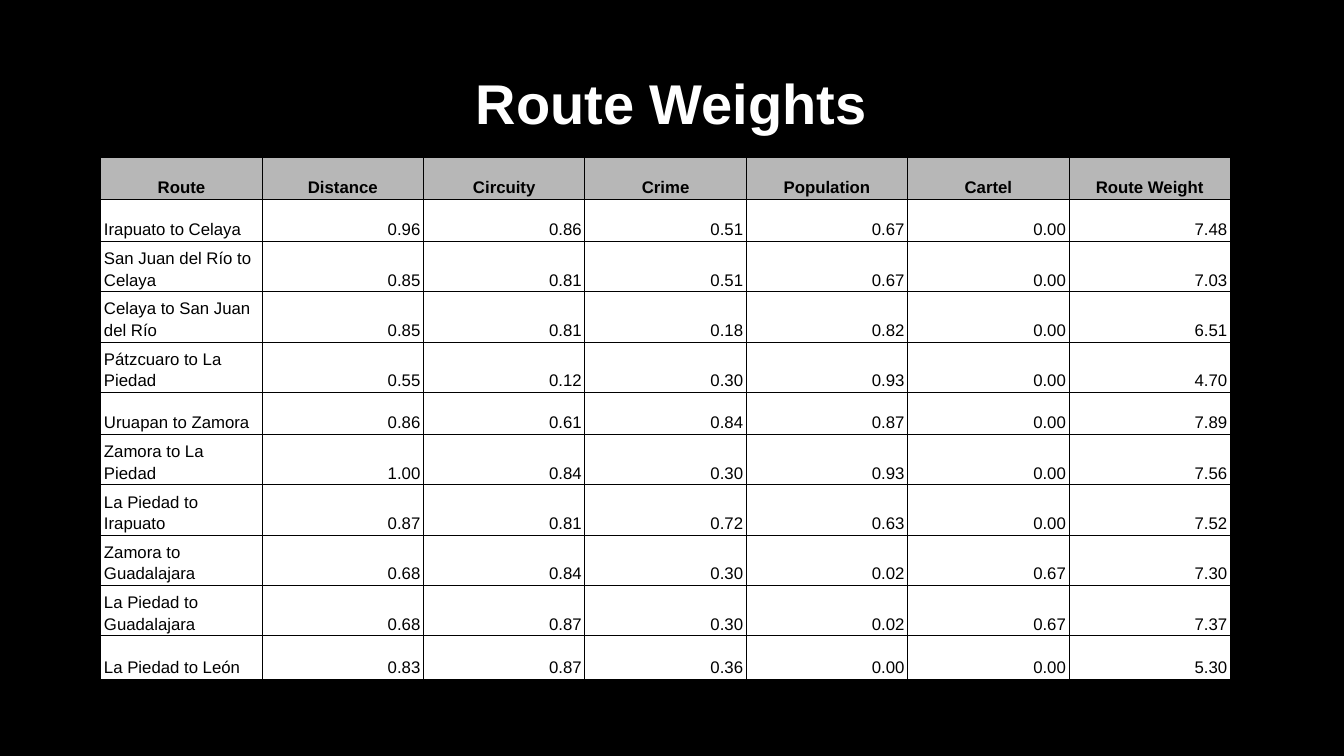
import dataclasses
import typing

import lxml.etree
import pptx
import pptx.dml.color
import pptx.enum.text
import pptx.oxml.ns
import pptx.util

Cm = pptx.util.Cm
Pt = pptx.util.Pt
Align = pptx.enum.text.PP_ALIGN
Anchor = pptx.enum.text.MSO_ANCHOR

BLACK = "000000"
WHITE = "FFFFFF"
GREY = "B7B7B7"


@dataclasses.dataclass(frozen=True)
class Style:
    size: float
    color: str
    bold: bool
    align: Align
    space: float


@dataclasses.dataclass(frozen=True)
class Route:
    name: str
    weights: tuple[str, ...]


TITLE = Style(40, WHITE, True, Align.CENTER, 0.9)
HEAD = Style(12, BLACK, True, Align.CENTER, 1.15)
NAME = Style(12, BLACK, False, Align.LEFT, 1.15)
VALUE = Style(12, BLACK, False, Align.RIGHT, 1.15)

HEADS = ("Route", "Distance", "Circuity", "Crime", "Population", "Cartel", "Route Weight")
ROUTES = (
    Route("Irapuato to Celaya", ("0.96", "0.86", "0.51", "0.67", "0.00", "7.48")),
    Route("San Juan del Río to Celaya", ("0.85", "0.81", "0.51", "0.67", "0.00", "7.03")),
    Route("Celaya to San Juan del Río", ("0.85", "0.81", "0.18", "0.82", "0.00", "6.51")),
    Route("Pátzcuaro to La Piedad", ("0.55", "0.12", "0.30", "0.93", "0.00", "4.70")),
    Route("Uruapan to Zamora", ("0.86", "0.61", "0.84", "0.87", "0.00", "7.89")),
    Route("Zamora to La Piedad", ("1.00", "0.84", "0.30", "0.93", "0.00", "7.56")),
    Route("La Piedad to Irapuato", ("0.87", "0.81", "0.72", "0.63", "0.00", "7.52")),
    Route("Zamora to Guadalajara", ("0.68", "0.84", "0.30", "0.02", "0.67", "7.30")),
    Route("La Piedad to Guadalajara", ("0.68", "0.87", "0.30", "0.02", "0.67", "7.37")),
    Route("La Piedad to León", ("0.83", "0.87", "0.36", "0.00", "0.00", "5.30")),
)

CELL = {
    "margin_left": Cm(0.08),
    "margin_right": Cm(0.08),
    "margin_top": Cm(0.05),
    "margin_bottom": Cm(0.05),
    "vertical_anchor": Anchor.BOTTOM,
}
FRAME = {"word_wrap": True, "vertical_anchor": Anchor.MIDDLE}
PLAIN = {"first_row": False, "horz_banding": False}


def apply(target: typing.Any, values: dict[str, typing.Any]) -> None:
    for key, value in values.items():
        setattr(target, key, value)


def paint(fill: typing.Any, color: str) -> None:
    fill.solid()
    fill.fore_color.rgb = pptx.dml.color.RGBColor.from_string(color)


def write(frame: typing.Any, text: str, style: Style) -> None:
    line = frame.paragraphs[0]
    apply(line, {"alignment": style.align, "line_spacing": style.space})
    run = line.add_run()
    run.text = text
    apply(run.font, {"name": "Arial", "size": Pt(style.size), "bold": style.bold})
    paint(run.font.fill, style.color)


def border(cell: typing.Any) -> None:
    qn = pptx.oxml.ns.qn
    props = cell._tc.get_or_add_tcPr()
    for index, side in enumerate(("a:lnL", "a:lnR", "a:lnT", "a:lnB")):
        edge = lxml.etree.Element(qn(side), w=str(Pt(0.75)))
        fill = lxml.etree.SubElement(edge, qn("a:solidFill"))
        lxml.etree.SubElement(fill, qn("a:srgbClr"), val=BLACK)
        props.insert(index, edge)


def draw_cell(cell: typing.Any, text: str, style: Style, color: str) -> None:
    apply(cell, CELL)
    paint(cell.fill, color)
    border(cell)
    write(cell.text_frame, text, style)


def draw_title(slide: typing.Any) -> None:
    box = slide.shapes.add_textbox(Cm(2.54), Cm(0.84), Cm(28.75), Cm(3.68))
    apply(box.text_frame, FRAME)
    write(box.text_frame, "Route Weights", TITLE)


def draw_table(slide: typing.Any) -> None:
    height = Cm(12.85)
    shape = slide.shapes.add_table(
        len(ROUTES) + 1, len(HEADS), Cm(2.54), Cm(3.96), Cm(28.47), height
    )
    table = shape.table
    apply(table, PLAIN)
    for index, row in enumerate(table.rows):
        row.height = Cm(1.06) if index < 6 else Cm(1.09)
    shape.height = height
    for col, text in enumerate(HEADS):
        draw_cell(table.cell(0, col), text, HEAD, GREY)
    for row, route in enumerate(ROUTES, 1):
        draw_cell(table.cell(row, 0), route.name, NAME, WHITE)
        for col, text in enumerate(route.weights, 1):
            draw_cell(table.cell(row, col), text, VALUE, WHITE)


def main() -> None:
    deck = pptx.Presentation()
    apply(deck, {"slide_width": Cm(33.87), "slide_height": Cm(19.05)})
    slide = deck.slides.add_slide(deck.slide_layouts[6])
    paint(slide.background.fill, BLACK)
    draw_title(slide)
    draw_table(slide)
    deck.save("out.pptx")


if __name__ == "__main__":
    main()
